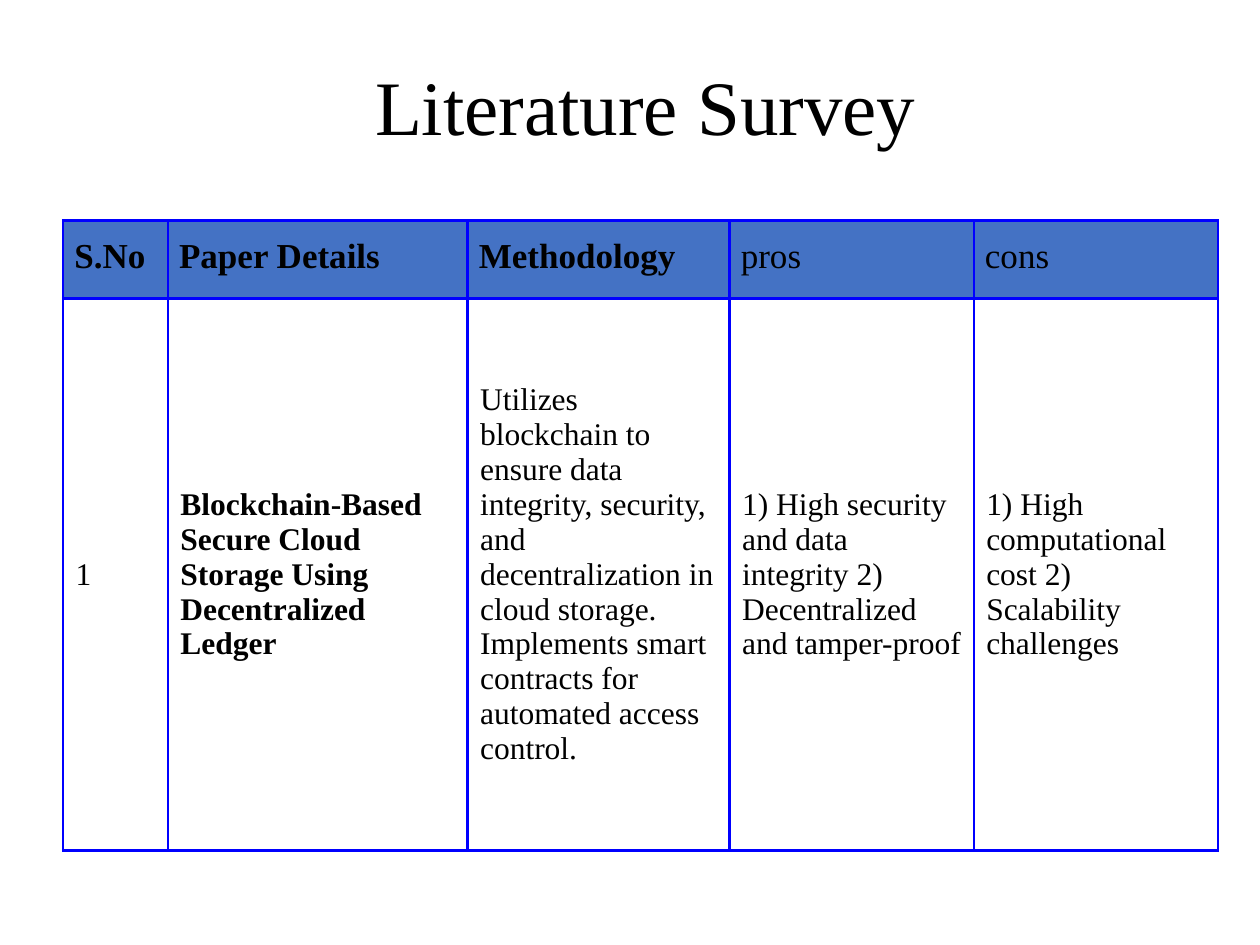
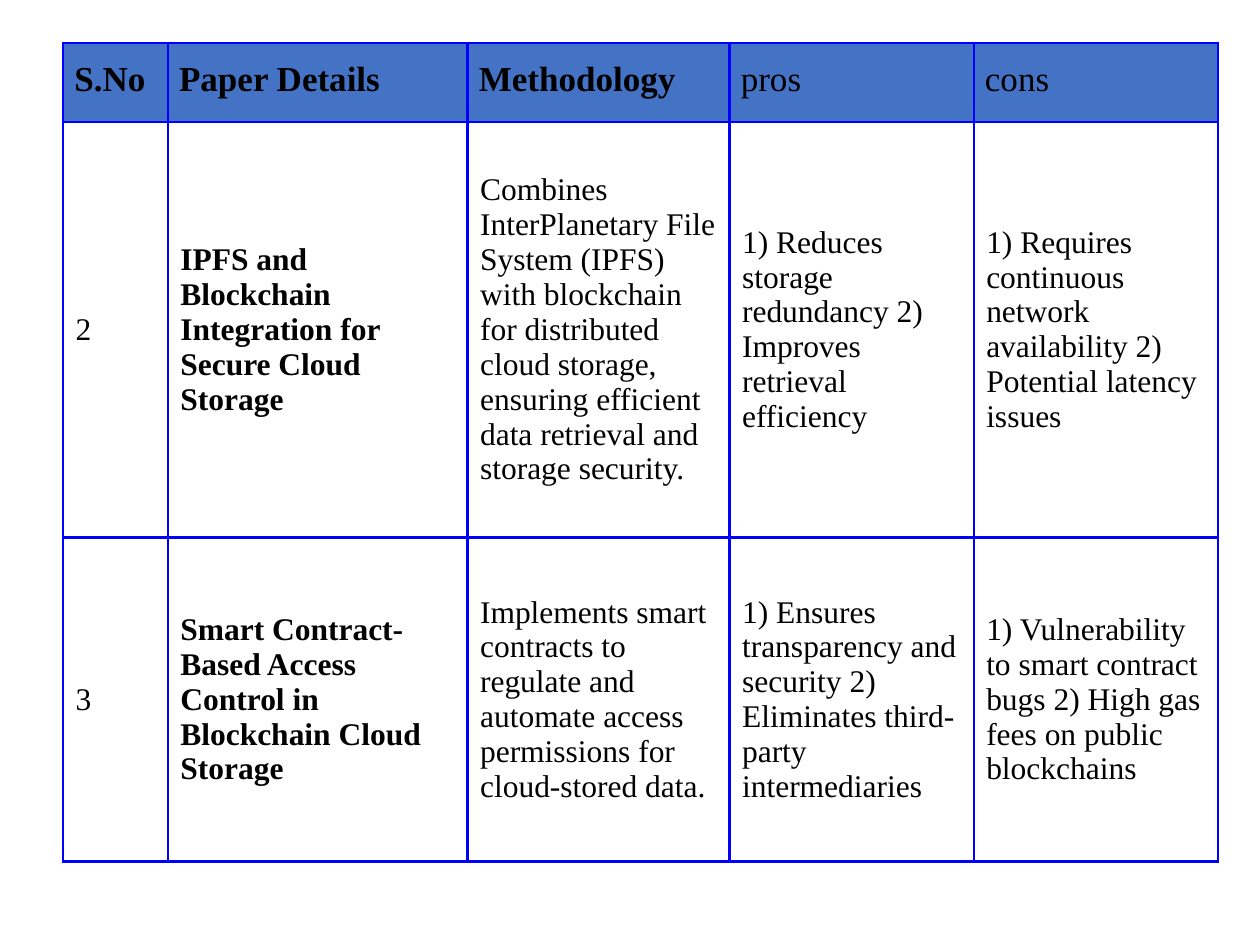
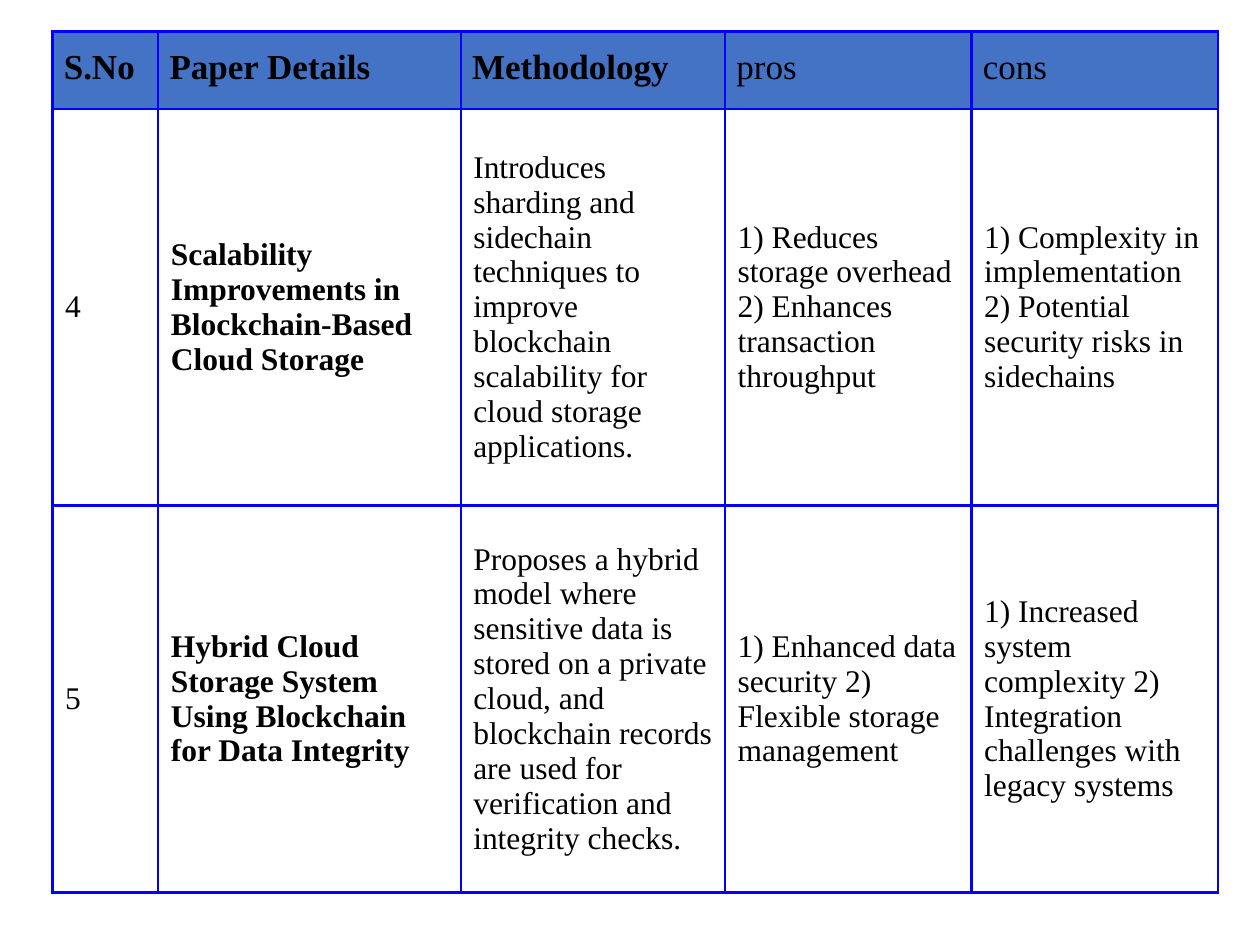
from dataclasses import dataclass

from lxml.etree import SubElement
from pptx import Presentation
from pptx.dml.color import RGBColor
from pptx.enum.text import MSO_ANCHOR as Anchor, MSO_AUTO_SIZE as AutoSize, PP_ALIGN as Align
from pptx.oxml import parse_xml
from pptx.oxml.ns import nsdecls, qn
from pptx.util import Inches, Pt


@dataclass(frozen=True)
class Theme:
    """Colours, type sizes and grid shared by all slides."""
    font: str = "Times New Roman"
    ink: str = "000000"
    header: str = "4472C4"
    border: str = "0000FF"
    border_width: float = 1.5
    title_size: int = 44
    header_size: int = 20
    body_size: int = 18
    header_inset: float = 0.09
    grid: float = 1 / 12


THEME = Theme()
COLUMN_SHARES = (10, 28.6, 25, 23.3, 23.3)
HEADINGS = ("S.No", "Paper Details", "Methodology", "pros", "cons")
BOLD_HEADINGS = HEADINGS[:3]
SURVEYS = [
    {
        "title": "Literature Survey",
        "box": (6, 21, 110),
        "rows": (7.44, 52.56),
        "papers": [
            ("1", "Blockchain-Based Secure Cloud Storage Using Decentralized Ledger",
             "Utilizes blockchain to ensure data integrity, security, and decentralization in cloud "
             "storage. Implements smart contracts for automated access control.",
             "1) High security and data integrity 2) Decentralized and tamper-proof",
             "1) High computational cost 2) Scalability challenges"),
        ],
    },
    {
        "box": (6, 4.08, 110),
        "rows": (7.52, 39.6, 30.84),
        "papers": [
            ("2", "IPFS and Blockchain Integration for Secure Cloud Storage",
             "Combines InterPlanetary File System (IPFS) with blockchain for distributed cloud "
             "storage, ensuring efficient data retrieval and storage security.",
             "1) Reduces storage redundancy 2) Improves retrieval efficiency",
             "1) Requires continuous network availability 2) Potential latency issues"),
            ("3", "Smart Contract-Based Access Control in Blockchain Cloud Storage",
             "Implements smart contracts to regulate and automate access permissions for "
             "cloud-stored data.",
             "1) Ensures transparency and security 2) Eliminates third-party intermediaries",
             "1) Vulnerability to smart contract bugs 2) High gas fees on public blockchains"),
        ],
    },
    {
        "box": (5, 3, 111),
        "rows": (7.35, 37.8, 36.85),
        "papers": [
            ("4", "Scalability Improvements in Blockchain-Based Cloud Storage",
             "Introduces sharding and sidechain techniques to improve blockchain scalability for "
             "cloud storage applications.",
             "1) Reduces storage overhead 2) Enhances transaction throughput",
             "1) Complexity in implementation 2) Potential security risks in sidechains"),
            ("5", "Hybrid Cloud Storage System Using Blockchain for Data Integrity",
             "Proposes a hybrid model where sensitive data is stored on a private cloud, and "
             "blockchain records are used for verification and integrity checks.",
             "1) Enhanced data security 2) Flexible storage management",
             "1) Increased system complexity 2) Integration challenges with legacy systems"),
        ],
    },
]


def units(count):
    """Convert grid units to a length."""
    return Inches(count * THEME.grid)


def write(frame, text, size, bold=False, align=Align.LEFT, spacing=None, after=None):
    """Fill a text frame with one formatted paragraph."""
    paragraph = frame.paragraphs[0]
    paragraph.alignment = align
    if spacing:
        paragraph.line_spacing = spacing
    if after:
        paragraph.space_after = Pt(after)
    run = paragraph.add_run()
    run.text = text
    run.font.name = THEME.font
    run.font.size = Pt(size)
    run.font.bold = bold
    run.font.color.rgb = RGBColor.from_string(THEME.ink)


def outline(cell):
    """Draw the border on all four sides of a cell."""
    properties = cell._tc.get_or_add_tcPr()
    for position, side in enumerate(("lnL", "lnR", "lnT", "lnB")):
        line = parse_xml(f'<a:{side} {nsdecls("a")} w="{Pt(THEME.border_width)}"/>')
        fill = SubElement(line, qn("a:solidFill"))
        SubElement(fill, qn("a:srgbClr"), val=THEME.border)
        properties.insert(position, line)


def fill_heading(cell, heading):
    """Write and colour one heading cell."""
    cell.margin_left = cell.margin_right = Inches(THEME.header_inset)
    cell.margin_top = cell.margin_bottom = Inches(THEME.header_inset)
    cell.fill.solid()
    cell.fill.fore_color.rgb = RGBColor.from_string(THEME.header)
    write(cell.text_frame, heading, THEME.header_size, bold=heading in BOLD_HEADINGS,
          spacing=1.15, after=10)


def fill_detail(cell, detail, bold):
    """Write one cell of a paper's row."""
    cell.vertical_anchor = Anchor.MIDDLE
    cell.fill.background()
    write(cell.text_frame, detail, THEME.body_size, bold=bold)


def add_survey_table(slide, box, rows, papers):
    """Place the survey table in a box given by left, top and width."""
    left, top, width = box
    survey = slide.shapes.add_table(
        len(rows), len(HEADINGS), units(left), units(top), units(width), units(sum(rows))).table
    survey.first_row = survey.horz_banding = False
    for column, share in zip(survey.columns, COLUMN_SHARES):
        column.width = units(width * share / sum(COLUMN_SHARES))
    for row, height in zip(survey.rows, rows):
        row.height = units(height)
    for column, heading in enumerate(HEADINGS):
        fill_heading(survey.cell(0, column), heading)
    for row, paper in enumerate(papers, start=1):
        for column, detail in enumerate(paper):
            fill_detail(survey.cell(row, column), detail, HEADINGS[column] == "Paper Details")
    for cell in survey.iter_cells():
        outline(cell)


def add_title(slide, title, box):
    """Move and format the title placeholder."""
    heading = slide.shapes.title
    heading.left, heading.top, heading.width, heading.height = map(units, box)
    frame = heading.text_frame
    frame.word_wrap = True
    frame.auto_size = AutoSize.NONE
    frame.vertical_anchor = Anchor.BOTTOM
    write(frame, title, THEME.title_size, align=Align.CENTER)


def add_survey_slide(deck, box, rows, papers, title=None):
    """Add a slide with a survey table and an optional title."""
    slide = deck.slides.add_slide(deck.slide_layouts.get_by_name("Title Only" if title else "Blank"))
    add_survey_table(slide, box, rows, papers)
    if title:
        add_title(slide, title, (21, 5, 81, 10))


def main():
    """Build the survey slides and save them."""
    deck = Presentation()
    deck.slide_width, deck.slide_height = units(120), units(90)
    for survey in SURVEYS:
        add_survey_slide(deck, **survey)
    deck.save("out.pptx")


if __name__ == "__main__":
    main()
